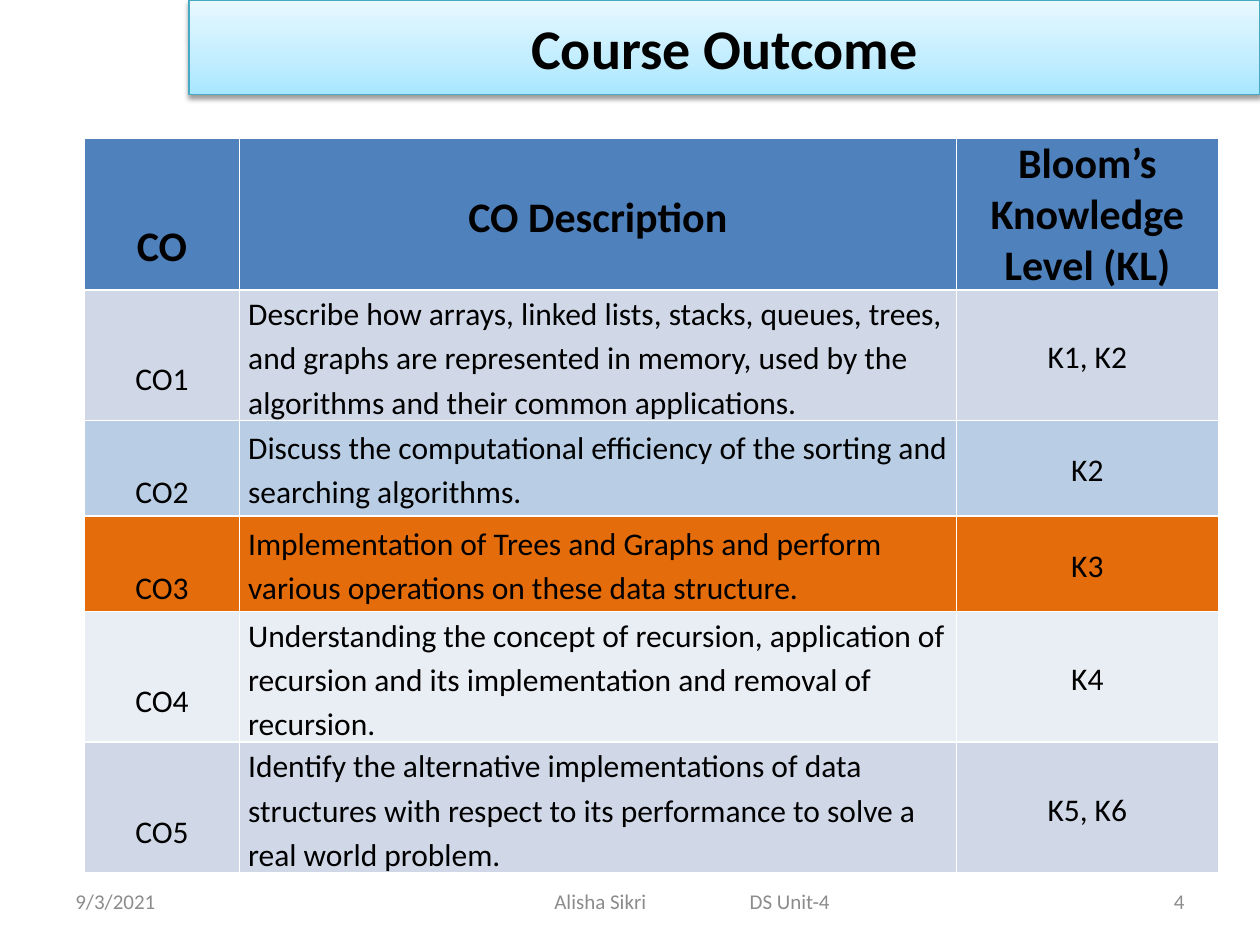
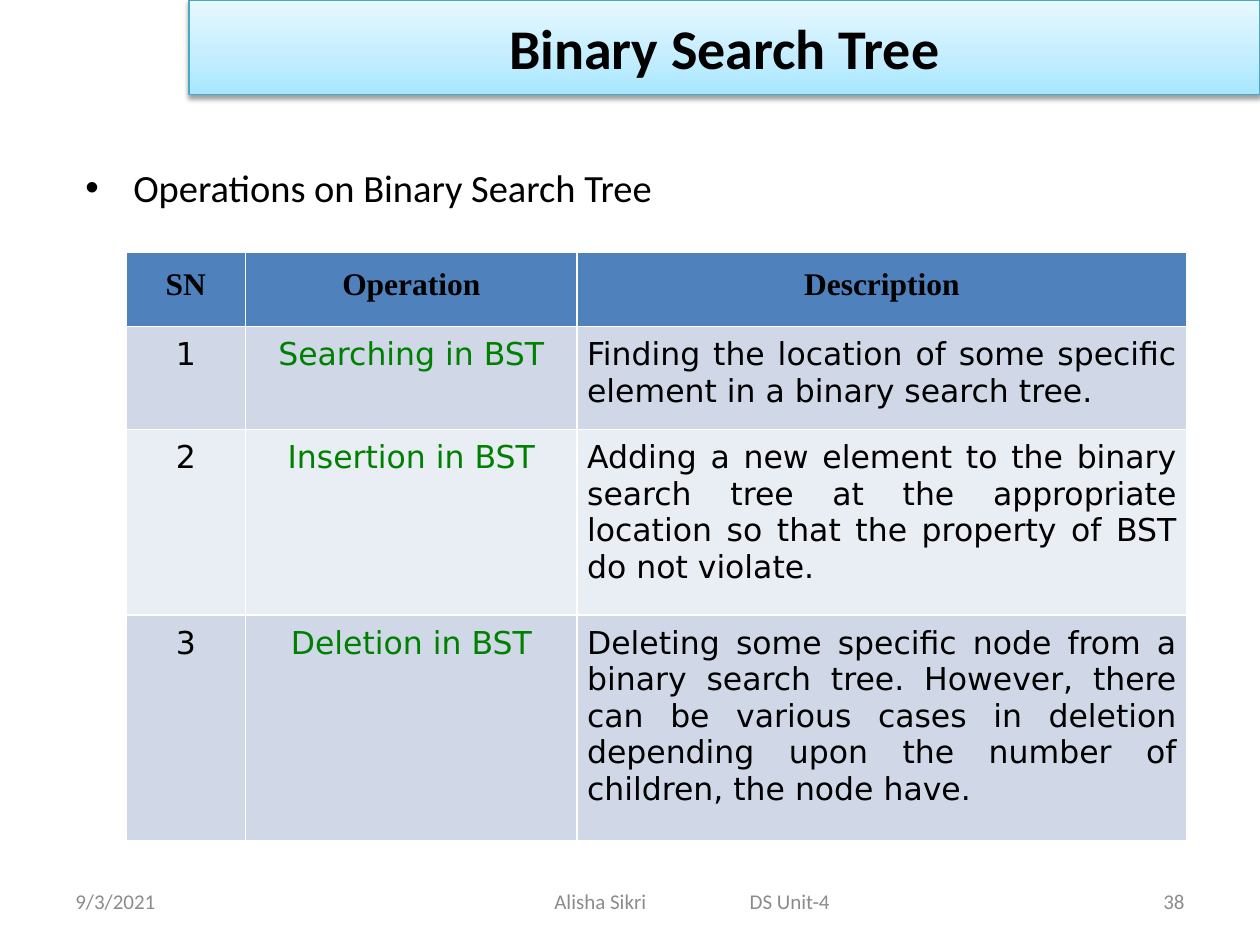
import copy
import pptx
import pptx.dml.color
import pptx.enum.text
import pptx.oxml
import pptx.oxml.ns
import pptx.util

Inches = pptx.util.Inches
Pt = pptx.util.Pt
Align = pptx.enum.text.PP_ALIGN
Anchor = pptx.enum.text.MSO_ANCHOR
qn = pptx.oxml.ns.qn

BLACK, GREY, GREEN = "000000", "8C8C8C", "008000"
HEAD, DARK, LIGHT = "4F81BD", "D0D8E8", "E9EDF4"
BLUE, ORANGE = "B9CDE5", "E46C0A"
EDGE = "46AAC5"
STOPS = [(0, "A7E6FF"), (0.35, "C1EDFF"), (1, "E7F8FF")]
BODY, WIDE, SERIF = "Calibri", "DejaVu Sans", "Times New Roman"
SHADOW = (
    f'<a:effectLst {pptx.oxml.ns.nsdecls("a")}>'
    '<a:outerShdw blurRad="39370" dist="20320" dir="5400000" rotWithShape="0">'
    '<a:srgbClr val="000000"><a:alpha val="38000"/></a:srgbClr>'
    '</a:outerShdw></a:effectLst>'
)

COURSE = [
    ("CO1", "Describe how arrays, linked lists, stacks, queues, trees, and graphs are "
     "represented in memory, used by the algorithms and their common applications.", "K1, K2"),
    ("CO2", "Discuss the computational efficiency of the sorting and searching algorithms.", "K2"),
    ("CO3", "Implementation of Trees and Graphs and perform various operations on these "
     "data structure.", "K3"),
    ("CO4", "Understanding the concept of recursion, application of recursion and its "
     "implementation and removal of recursion.", "K4"),
    ("CO5", "Identify the alternative implementations of data structures with respect to "
     "its performance to solve a real world problem.", "K5, K6"),
]
TREE = [
    ("1", "Searching in BST", "Finding the location of some specific element in a binary "
     "search tree."),
    ("2", "Insertion in BST", "Adding a new element to the binary search tree at the "
     "appropriate location so that the property of BST do not violate."),
    ("3", "Deletion in BST", "Deleting some specific node from a binary search tree. However, "
     "there can be various cases in deletion depending upon the number of children, "
     "the node have."),
]


def paint(text):
    return pptx.dml.color.RGBColor.from_string(text)


def write(frame, text, size=18, font=BODY, color=BLACK, bold=False, align=Align.LEFT, pitch=None):
    para = frame.paragraphs[0]
    para.text = text
    para.alignment = align
    if pitch:
        para.line_spacing = pitch
    para.font.size = Pt(size)
    para.font.name = font
    para.font.bold = bold
    para.font.color.rgb = paint(color)
    return para


def add_box(slide, left, top, width, height, anchor=Anchor.MIDDLE):
    box = slide.shapes.add_textbox(Inches(left), Inches(top), Inches(width), Inches(height))
    frame = box.text_frame
    frame.word_wrap = True
    frame.vertical_anchor = anchor
    return frame


def add_tab(frame, place):
    props = frame.paragraphs[0]._p.get_or_add_pPr()
    tabs = props.makeelement(qn("a:tabLst"), {})
    tabs.append(tabs.makeelement(qn("a:tab"), {"pos": str(Inches(place)), "algn": "l"}))
    props.append(tabs)


def add_foot(slide, page):
    style = dict(size=12, color=GREY)
    write(add_box(slide, 0.5, 6.95, 2.33, 0.4), "9/3/2021", **style)
    frame = add_box(slide, 2.75, 6.95, 5.5, 0.4)
    frame.margin_left = Inches(1.65)
    add_tab(frame, 1.55)
    write(frame, "Alisha Sikri\tDS Unit-4", **style)
    write(add_box(slide, 7.17, 6.95, 2.33, 0.4), page, align=Align.RIGHT, **style)


def add_title(slide, text):
    band = slide.shapes.title
    band.left, band.top = Inches(1.5), Inches(0)
    band.width, band.height = Inches(8.5), Inches(0.75)
    band.fill.gradient()
    band.fill.gradient_angle = 90
    props = band._element.spPr
    stops = props.find(".//" + qn("a:gsLst"))
    stops.append(copy.deepcopy(stops[-1]))
    for stop, (place, color) in zip(band.fill.gradient_stops, STOPS):
        stop.position = place
        stop.color.rgb = paint(color)
    band.line.color.rgb = paint(EDGE)
    band.line.width = Pt(0.75)
    props.append(pptx.oxml.parse_xml(SHADOW))
    band.text_frame.vertical_anchor = Anchor.MIDDLE
    write(band.text_frame, text, size=32, bold=True, align=Align.CENTER)


def add_slide(deck, title, page):
    slide = deck.slides.add_slide(deck.slide_layouts[5])
    add_title(slide, title)
    add_foot(slide, page)
    return slide


def add_point(slide, text):
    frame = add_box(slide, 0.58, 1.25, 9, 0.67, Anchor.TOP)
    props = frame.paragraphs[0]._p.get_or_add_pPr()
    props.set("marL", str(Inches(0.38)))
    props.set("indent", str(-Inches(0.38)))
    props.append(props.makeelement(qn("a:buFont"), {"typeface": "Arial"}))
    props.append(props.makeelement(qn("a:buChar"), {"char": "•"}))
    write(frame, text, size=22)


def add_grid(slide, left, top, widths, heights):
    frame = slide.shapes.add_table(
        len(heights), len(widths), Inches(left), Inches(top),
        Inches(sum(widths)), Inches(sum(heights)))
    grid = frame.table
    for col, width in zip(grid.columns, widths):
        col.width = Inches(width)
    for row, height in zip(grid.rows, heights):
        row.height = Inches(height)
    return grid


def fill_cell(cell, text, fill, side, edge, anchor=Anchor.TOP, drop=0, **style):
    cell.fill.solid()
    cell.fill.fore_color.rgb = paint(fill)
    cell.margin_left = cell.margin_right = Inches(side)
    cell.margin_top = Inches(edge + drop)
    cell.margin_bottom = Inches(edge)
    cell.vertical_anchor = anchor
    write(cell.text_frame, text, **style)


def add_course(slide):
    grid = add_grid(slide, 0.67, 1.1, [1.23, 5.69, 2.08], [1.17, 1.01, 0.76, 0.76, 1.01, 1.01])
    base = dict(side=0.07, edge=0, anchor=Anchor.MIDDLE)
    heads = ["CO", "CO Description", "Bloom’s Knowledge Level (KL)"]
    for col, (text, drop, pitch) in enumerate(zip(heads, [0.47, 0, 0], [1.15, 1.15, 1])):
        fill_cell(grid.cell(0, col), text, HEAD, drop=drop, pitch=pitch,
                  size=24, bold=True, align=Align.CENTER, **base)
    fills = [DARK, BLUE, ORANGE, LIGHT, DARK]
    sides = [Align.CENTER, Align.LEFT, Align.CENTER]
    for row, (texts, fill) in enumerate(zip(COURSE, fills), 1):
        for col, (text, align, drop) in enumerate(zip(texts, sides, [0.35, 0, 0])):
            fill_cell(grid.cell(row, col), text, fill, drop=drop, pitch=1.15,
                      align=align, **base)


def add_tree(slide):
    grid = add_grid(slide, 1, 2, [0.95, 2.63, 4.84], [0.59, 0.82, 1.47, 1.79])
    for col, text in enumerate(["SN", "Operation", "Description"]):
        fill_cell(grid.cell(0, col), text, HEAD, 0.12, 0.12,
                  font=SERIF, bold=True, align=Align.CENTER)
    sides = [Align.CENTER, Align.CENTER, Align.JUSTIFY]
    for row, texts in enumerate(TREE, 1):
        fill = DARK if row % 2 else LIGHT
        for col, (text, align, color) in enumerate(zip(texts, sides, [BLACK, GREEN, BLACK])):
            fill_cell(grid.cell(row, col), text, fill, 0.08, 0.08,
                      font=WIDE, color=color, align=align)


def main():
    deck = pptx.Presentation()
    deck.slide_width, deck.slide_height = Inches(10), Inches(7.5)
    add_course(add_slide(deck, "Course Outcome", "4"))
    slide = add_slide(deck, "Binary Search Tree", "38")
    add_point(slide, "Operations on Binary Search Tree")
    add_tree(slide)
    deck.save("out.pptx")


if __name__ == "__main__":
    main()
